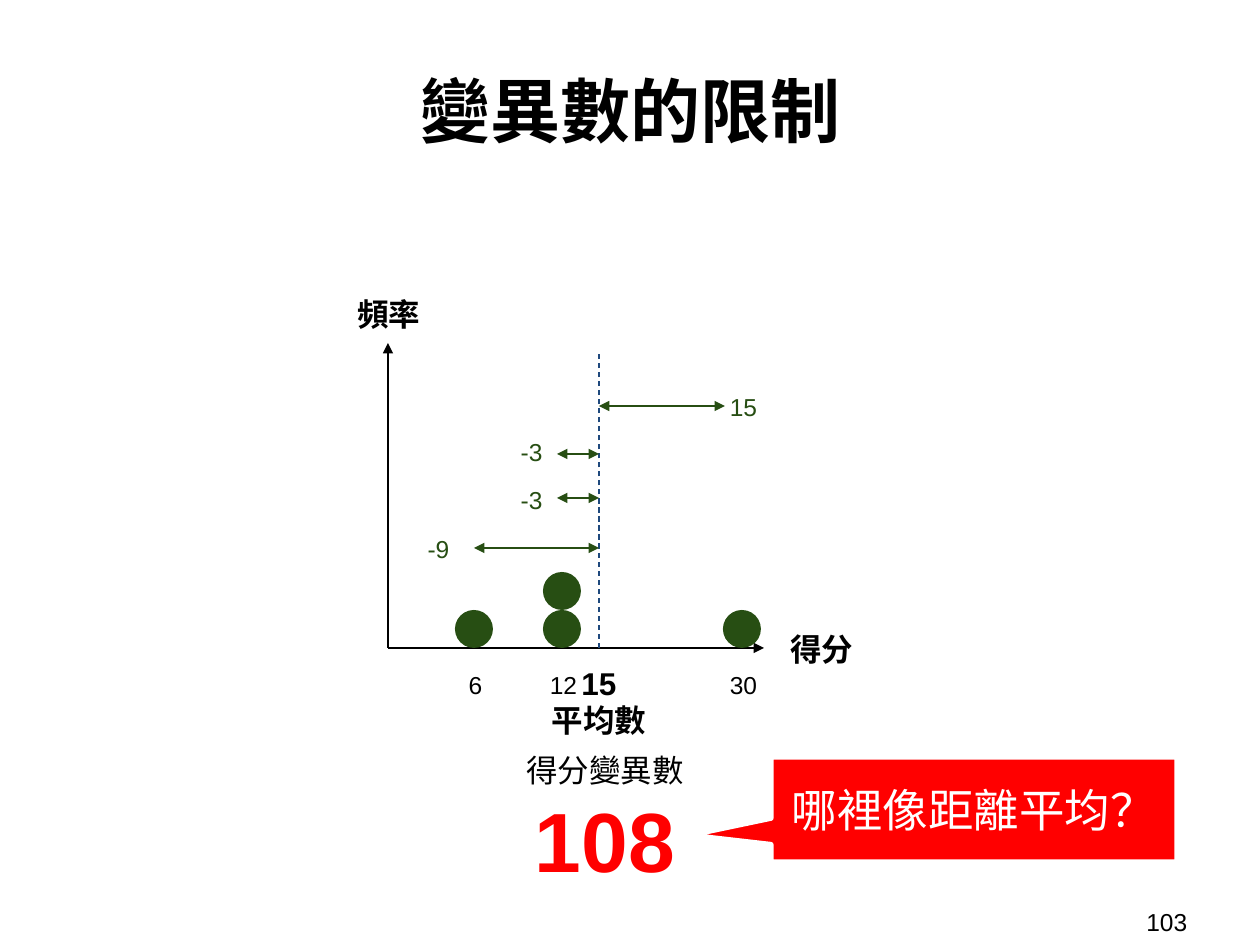
from dataclasses import dataclass

from lxml import etree
from pptx import Presentation
from pptx.dml.color import RGBColor
from pptx.enum.dml import MSO_LINE
from pptx.enum.shapes import MSO_CONNECTOR, MSO_SHAPE
from pptx.enum.text import MSO_ANCHOR, PP_ALIGN
from pptx.oxml.ns import qn
from pptx.util import Emu, Pt

PX = 914400 // 126
LEFT, CENTER = PP_ALIGN.LEFT, PP_ALIGN.CENTER
TOP, MIDDLE = MSO_ANCHOR.TOP, MSO_ANCHOR.MIDDLE
STRAIGHT, DASH = MSO_CONNECTOR.STRAIGHT, MSO_LINE.DASH
OVAL, CALLOUT = MSO_SHAPE.OVAL, MSO_SHAPE.ROUNDED_RECTANGULAR_CALLOUT


@dataclass(frozen=True)
class Theme:
    black: str = "000000"
    white: str = "FFFFFF"
    red: str = "FF0000"
    green: str = "274E13"
    blue: str = "1F497D"
    latin: str = "Arial"
    chinese: str = "Noto Sans CJK TC"
    small: int = 14
    label: int = 18
    callout: int = 26
    title: int = 40
    result: int = 48


T = Theme()
TICK = dict(size=T.small, color=T.black)
LABEL = dict(size=T.label, color=T.black, bold=True)
DEVIATION = dict(size=T.small, color=T.green)

# Text boxes: box in px, anchor, alignment, lines of (text, format)
TEXTS = [
    ((1134, 903, 116, 37), MIDDLE, LEFT, [("103", TICK)]),
    ((66, 24, 1129, 171), MIDDLE, CENTER,
     [("變異數的限制", dict(size=T.title, color=T.black, bold=True, font=T.chinese))]),
    ((331, 289, 116, 49), MIDDLE, CENTER, [("頻率", LABEL)]),
    ((764, 624, 116, 49), MIDDLE, CENTER, [("得分", LABEL)]),
    ((528, 677, 142, 49), MIDDLE, CENTER, [("15", LABEL), ("平均數", LABEL)]),
    ((407, 738, 396, 54), TOP, CENTER,
     [("得分變異數", dict(size=T.label, color=T.black)),
      ("108", dict(size=T.result, color=T.red, bold=True))]),
]
CALLOUT_BOX, CALLOUT_TEXT = (771, 757, 406, 105), "哪裡像距離平均？"
CALLOUT_ADJUSTMENTS = (-0.7, 0.245, 0)

# Plot: x of each score, how often it occurs, deviations from the mean
ORIGIN_X, AXIS_Y, AXIS_TOP, AXIS_RIGHT = 388, 648, 343, 764
MEAN_X, MEAN_TOP = 599, 352
DOT, TICK_Y = 38, 684
LABEL_W, LABEL_H = 57, 49
SCORES = [("6", 474, 1), ("12", 562, 2), ("30", 742, 1)]
# text, arrow end x, arrow y, label centre x, label centre y
DEVIATIONS = [("15", 725, 406, 743, 406), ("-3", 557, 454, 531, 451),
              ("-3", 557, 498, 531, 499), ("-9", 474, 548, 438, 548)]


def px(*values):
    return [Emu(v * PX) for v in values]


def write(shape, lines, anchor=MIDDLE, align=CENTER):
    tf = shape.text_frame
    tf.word_wrap = True
    tf.vertical_anchor = anchor
    for side in ("left", "top", "right", "bottom"):
        setattr(tf, f"margin_{side}", Pt(7.2))
    for i, (text, style) in enumerate(lines):
        p = tf.paragraphs[0] if i == 0 else tf.add_paragraph()
        p.alignment = align
        r = p.add_run()
        r.text = text
        values = dict(size=Pt(style["size"]), bold=style.get("bold", False),
                      name=style.get("font", T.latin))
        for name, value in values.items():
            setattr(r.font, name, value)
        r.font.color.rgb = RGBColor.from_string(style["color"])
        etree.SubElement(r.font._element, qn("a:ea"), typeface=T.chinese)


def add_text(slide, box, lines, anchor=MIDDLE, align=CENTER):
    write(slide.shapes.add_textbox(*px(*box)), lines, anchor, align)


def add_label(slide, x, y, text, style):
    """Centre a short label on the point (x, y)."""
    box = (x - LABEL_W // 2, y - LABEL_H // 2, LABEL_W, LABEL_H)
    add_text(slide, box, [(text, style)])


def add_line(slide, start, end, color, width, dash=None, arrows=()):
    """Draw a line; arrows names its pointed ends, headEnd before tailEnd."""
    line = slide.shapes.add_connector(STRAIGHT, *px(*start, *end))
    line.line.color.rgb = RGBColor.from_string(color)
    line.line.width = Pt(width)
    if dash:
        line.line.dash_style = dash
    ln = line.line._get_or_add_ln()
    for name in arrows:
        etree.SubElement(ln, qn(f"a:{name}"), type="triangle")
    etree.SubElement(line._element.spPr, qn("a:effectLst"))


def add_shape(slide, kind, box, fill):
    sp = slide.shapes.add_shape(kind, *px(*box))
    sp.shadow.inherit = False
    sp.fill.solid()
    sp.fill.fore_color.rgb = RGBColor.from_string(fill)
    sp.line.fill.background()
    return sp


def add_plot(slide):
    origin = (ORIGIN_X, AXIS_Y)
    add_line(slide, origin, (ORIGIN_X, AXIS_TOP), T.black, 0.75, arrows=["tailEnd"])
    add_line(slide, origin, (AXIS_RIGHT, AXIS_Y), T.black, 0.75, arrows=["tailEnd"])
    add_line(slide, (MEAN_X, AXIS_Y), (MEAN_X, MEAN_TOP), T.blue, 0.75, dash=DASH)
    for text, x, count in SCORES:
        add_label(slide, x + 1, TICK_Y, text, TICK)
        for level in range(1, count + 1):
            box = (x - DOT // 2, AXIS_Y - level * DOT, DOT, DOT)
            add_shape(slide, OVAL, box, T.green)
    for text, end_x, y, label_x, label_y in DEVIATIONS:
        add_line(slide, (MEAN_X, y), (end_x, y), T.green, 1.5,
                 arrows=["headEnd", "tailEnd"])
        add_label(slide, label_x, label_y, text, DEVIATION)


def add_callout(slide):
    sp = add_shape(slide, CALLOUT, CALLOUT_BOX, T.red)
    sp.line.color.rgb = RGBColor.from_string(T.white)
    sp.line.width = Pt(3)
    for i, value in enumerate(CALLOUT_ADJUSTMENTS):
        sp.adjustments[i] = value
    write(sp, [(CALLOUT_TEXT, dict(size=T.callout, color=T.white))])


def main():
    prs = Presentation()
    prs.slide_width, prs.slide_height = px(1260, 945)
    slide = prs.slides.add_slide(prs.slide_layouts[6])
    add_plot(slide)
    for box, anchor, align, lines in TEXTS:
        add_text(slide, box, lines, anchor, align)
    add_callout(slide)
    prs.save("out.pptx")


if __name__ == "__main__":
    main()
